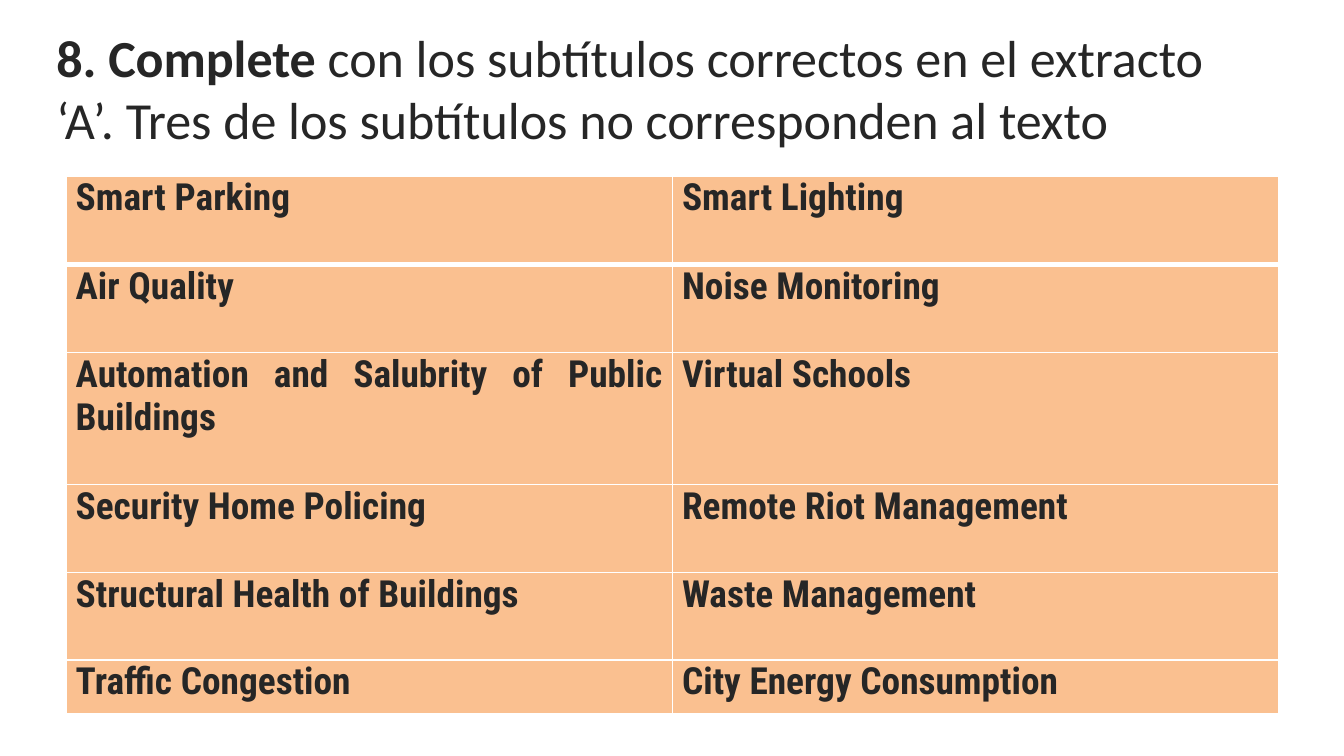
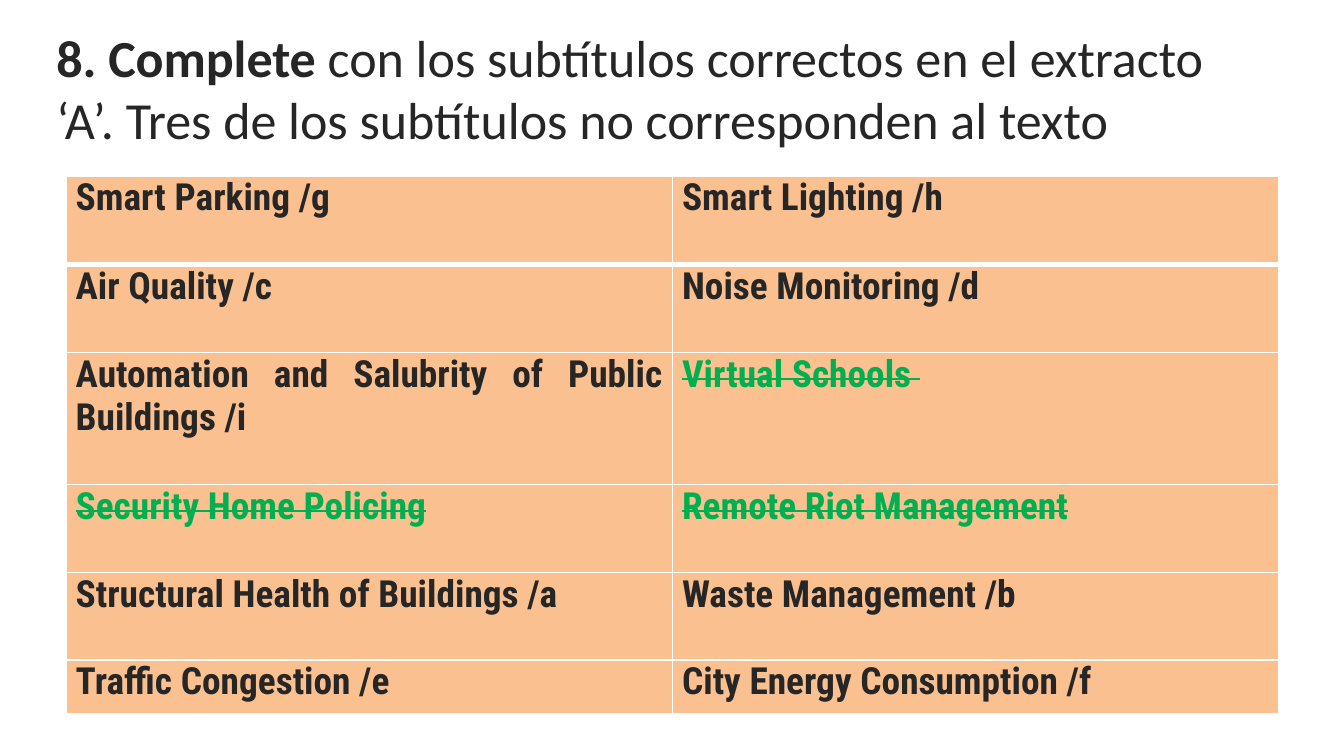
from dataclasses import dataclass

from lxml.etree import SubElement
from pptx import Presentation
from pptx.dml.color import RGBColor
from pptx.enum.text import MSO_ANCHOR as Anchor, MSO_AUTO_SIZE as AutoSize, PP_ALIGN as Align
from pptx.oxml.ns import qn
from pptx.util import Cm, Pt


@dataclass(frozen=True)
class Theme:
    ink: str = "262626"
    discarded: str = "00B050"
    cell: str = "FAC090"
    border: str = "FFFFFF"
    title_font: str = "Calibri"
    table_font: str = "Roboto Condensed"
    title_size: float = 27.9
    table_size: float = 20
    thin: float = 1
    thick: float = 3


@dataclass(frozen=True)
class Subtitle:
    text: str
    answer: str = ""  # no letter: the subtitle does not belong to the text


THEME = Theme()
TITLE_ONLY = 5
COLUMN_WIDTH = Cm(11.46)
ROW_HEIGHTS = [Cm(height) for height in (1.67, 1.66, 2.5, 1.66, 1.66, 1.02)]

SUBTITLES = [
    (Subtitle("Smart Parking", "g"), Subtitle("Smart Lighting", "h")),
    (Subtitle("Air Quality", "c"), Subtitle("Noise Monitoring", "d")),
    (Subtitle("Automation and Salubrity of Public Buildings", "i"), Subtitle("Virtual Schools ")),
    (Subtitle("Security Home Policing"), Subtitle("Remote Riot Management")),
    (Subtitle("Structural Health of Buildings", "a"), Subtitle("Waste Management", "b")),
    (Subtitle("Traffic Congestion", "e"), Subtitle("City Energy Consumption", "f")),
]


def add_text(paragraph, text: str, *, font: str, size: float, color: str = THEME.ink,
             bold: bool = False, strike: bool = False, align=Align.LEFT) -> None:
    paragraph.alignment = align
    run = paragraph.add_run()
    run.text = text
    run.font.name = font
    run.font.size = Pt(size)
    run.font.bold = bold
    run.font.color.rgb = RGBColor.from_string(color)
    if strike:
        run._r.get_or_add_rPr().set("strike", "sngStrike")


def set_borders(cell, *, top: float, bottom: float) -> None:
    widths = {"a:lnL": THEME.thin, "a:lnR": THEME.thin, "a:lnT": top, "a:lnB": bottom}
    properties = cell._tc.get_or_add_tcPr()
    for tag, width in widths.items():
        line = SubElement(properties, qn(tag), w=str(Pt(width)))
        fill = SubElement(line, qn("a:solidFill"))
        SubElement(fill, qn("a:srgbClr"), val=THEME.border)


def add_title(slide) -> None:
    title = slide.shapes.title
    title.left, title.top, title.width, title.height = Cm(0.81), Cm(1.19), Cm(22.91), Cm(2.13)
    frame = title.text_frame
    frame.word_wrap = True
    frame.auto_size = AutoSize.NONE
    frame.vertical_anchor = Anchor.MIDDLE
    frame.margin_bottom = Cm(1.32)  # lifts the two lines clear of the table
    paragraph = frame.paragraphs[0]
    style = {"font": THEME.title_font, "size": THEME.title_size}
    add_text(paragraph, "8. Complete ", bold=True, **style)
    add_text(paragraph, "con los subtítulos correctos en el extracto ‘A’. "
                        "Tres de los subtítulos no corresponden al texto", **style)


def fill_cell(cell, subtitle: Subtitle, row: int, solved: bool) -> None:
    cell.margin_left = cell.margin_right = Cm(0.18)
    cell.margin_top = cell.margin_bottom = 0
    # The first row is set off by a thicker rule
    set_borders(cell, top=THEME.thick if row == 1 else THEME.thin,
                bottom=THEME.thick if row == 0 else THEME.thin)
    cell.fill.solid()
    cell.fill.fore_color.rgb = RGBColor.from_string(THEME.cell)
    discarded = solved and not subtitle.answer
    text = f"{subtitle.text} /{subtitle.answer}" if solved and subtitle.answer else subtitle.text
    add_text(cell.text_frame.paragraphs[0], text, font=THEME.table_font, size=THEME.table_size,
             color=THEME.discarded if discarded else THEME.ink,
             bold=True, strike=discarded, align=Align.JUSTIFY)


def add_subtitle_table(slide, solved: bool) -> None:
    columns = len(SUBTITLES[0])
    table = slide.shapes.add_table(len(SUBTITLES), columns, Cm(1.25), Cm(3.33),
                                   COLUMN_WIDTH * columns, sum(ROW_HEIGHTS)).table
    table.horz_banding = False
    for column in table.columns:
        column.width = COLUMN_WIDTH
    for row, (height, subtitles) in enumerate(zip(ROW_HEIGHTS, SUBTITLES)):
        table.rows[row].height = height
        for column, subtitle in enumerate(subtitles):
            fill_cell(table.cell(row, column), subtitle, row, solved)


def main() -> None:
    presentation = Presentation()
    presentation.slide_width, presentation.slide_height = Cm(25.4), Cm(14.29)
    # The exercise, then its answers
    for solved in (False, True):
        slide = presentation.slides.add_slide(presentation.slide_layouts[TITLE_ONLY])
        add_title(slide)
        add_subtitle_table(slide, solved)
    presentation.save("out.pptx")


if __name__ == "__main__":
    main()
